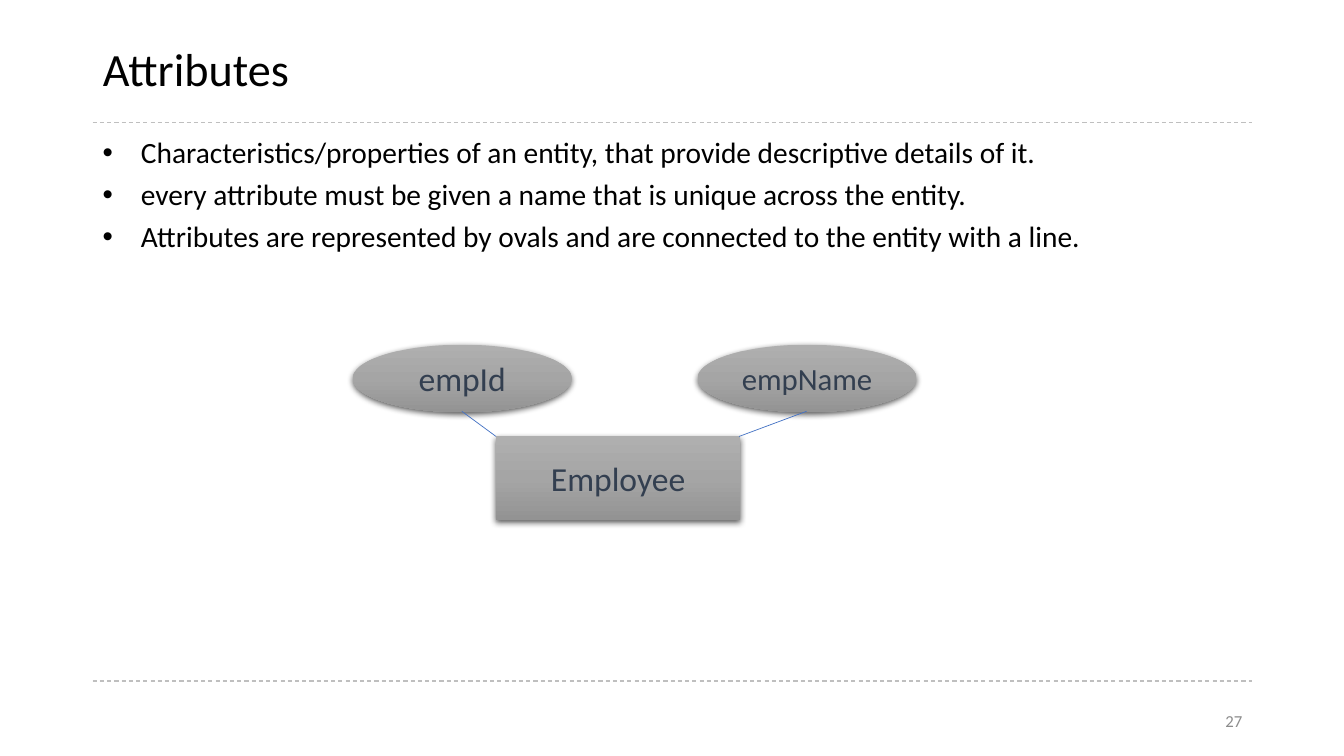
"""Builds the Attributes slide with a small entity diagram."""
from pptx import Presentation
from pptx.dml.color import RGBColor
from pptx.enum.dml import MSO_LINE
from pptx.enum.shapes import MSO_CONNECTOR, MSO_SHAPE
from pptx.enum.text import MSO_ANCHOR, MSO_AUTO_SIZE, PP_ALIGN
from pptx.oxml import parse_xml
from pptx.oxml.ns import nsdecls
from pptx.util import Pt

PX = 9144
BLACK = RGBColor(0x00, 0x00, 0x00)
NAVY = RGBColor(0x33, 0x3F, 0x50)
BLUE = RGBColor(0x44, 0x72, 0xC4)
RULE_GRAY = RGBColor(0xBF, 0xBF, 0xBF)
NUMBER_GRAY = RGBColor(0x8C, 0x8C, 0x8C)
STOPS = {0: RGBColor(0xAF, 0xAF, 0xAF), 50: RGBColor(0xA5, 0xA5, 0xA5), 100: RGBColor(0x93, 0x93, 0x93)}

GRADIENT = (
    f'<a:gradFill {nsdecls("a")} rotWithShape="1"><a:gsLst>'
    + "".join(f'<a:gs pos="{stop * 1000}"><a:srgbClr val="{color}"/></a:gs>' for stop, color in STOPS.items())
    + '</a:gsLst><a:lin ang="5400000" scaled="0"/></a:gradFill>'
)
SHADOW = (
    f'<a:effectLst {nsdecls("a")}><a:outerShdw blurRad="57150" dist="19050" dir="5400000" '
    'algn="ctr" rotWithShape="0"><a:srgbClr val="000000"><a:alpha val="63000"/></a:srgbClr>'
    '</a:outerShdw></a:effectLst>'
)


def write(shape, lines, size, color, align, anchor):
    frame = shape.text_frame
    frame.word_wrap = True
    frame.auto_size = MSO_AUTO_SIZE.NONE
    frame.vertical_anchor = anchor
    frame.text = "\n".join(lines)
    for para in frame.paragraphs:
        para.alignment = align
        for span in para.runs:
            for name, value in {"name": "Calibri", "size": Pt(size)}.items():
                setattr(span.font, name, value)
            span.font.color.rgb = color
    return frame.paragraphs


def connect(shapes, ends, color, width):
    line = shapes.add_connector(MSO_CONNECTOR.STRAIGHT, *[end * PX for end in ends])
    line.line.color.rgb = color
    line.line.width = Pt(width)
    line._element.spPr.append(parse_xml(f'<a:effectLst {nsdecls("a")}/>'))
    return line


deck = Presentation()
deck.slide_width, deck.slide_height = 1333 * PX, 750 * PX
page = deck.slides.add_slide(deck.slide_layouts[5])

for y in (675, 122, 676):
    connect(page.shapes, (92, y, 1242, y), RULE_GRAY, 0.75).line.dash_style = MSO_LINE.DASH

title = page.shapes.title
for side, length in {"left": 92, "top": 21, "width": 1150, "height": 100}.items():
    setattr(title, side, length * PX)
heading = write(title, ["Attributes"], 33, BLACK, PP_ALIGN.LEFT, MSO_ANCHOR.MIDDLE)
heading[0].line_spacing = 0.9

points = [
    "Characteristics/properties of an entity, that provide descriptive details of it.",
    "every attribute must be given a name that is unique across the entity.",
    "Attributes are represented by ovals and are connected to the entity with a line.",
]
body = page.shapes.add_textbox(92 * PX, 132 * PX, 1150 * PX, 543 * PX)
for index, para in enumerate(write(body, points, 21, BLACK, PP_ALIGN.LEFT, MSO_ANCHOR.TOP)):
    para.line_spacing = 0.9
    para.space_before = Pt(7.5 if index else 0)
    properties = para._p.get_or_add_pPr()
    properties.set("marL", str(38 * PX))
    properties.set("indent", str(-38 * PX))
    properties.append(parse_xml(f'<a:buFont {nsdecls("a")} typeface="Arial"/>'))
    properties.append(parse_xml(f'<a:buChar {nsdecls("a")} char="•"/>'))

number = page.shapes.add_textbox(942 * PX, 695 * PX, 300 * PX, 40 * PX)
write(number, ["27"], 12, NUMBER_GRAY, PP_ALIGN.RIGHT, MSO_ANCHOR.MIDDLE)

diagram = page.shapes.add_group_shape().shapes
nodes = [
    ("Employee", MSO_SHAPE.RECTANGLE, (492, 433, 242, 83), 24),
    ("empId", MSO_SHAPE.OVAL, (350, 342, 217, 67), 24),
    ("empName", MSO_SHAPE.OVAL, (692, 342, 217, 67), 22),
]
for label, kind, place, size in nodes:
    node = diagram.add_shape(kind, *[length * PX for length in place])
    node._element.spPr.append(parse_xml(GRADIENT))
    node.line.fill.background()
    node._element.spPr.append(parse_xml(SHADOW))
    write(node, [label], size, NAVY, PP_ALIGN.CENTER, MSO_ANCHOR.MIDDLE)

for ends in ((492, 433, 458, 408), (733, 433, 800, 408)):
    connect(diagram, ends, BLUE, 0.5)

deck.save("out.pptx")
